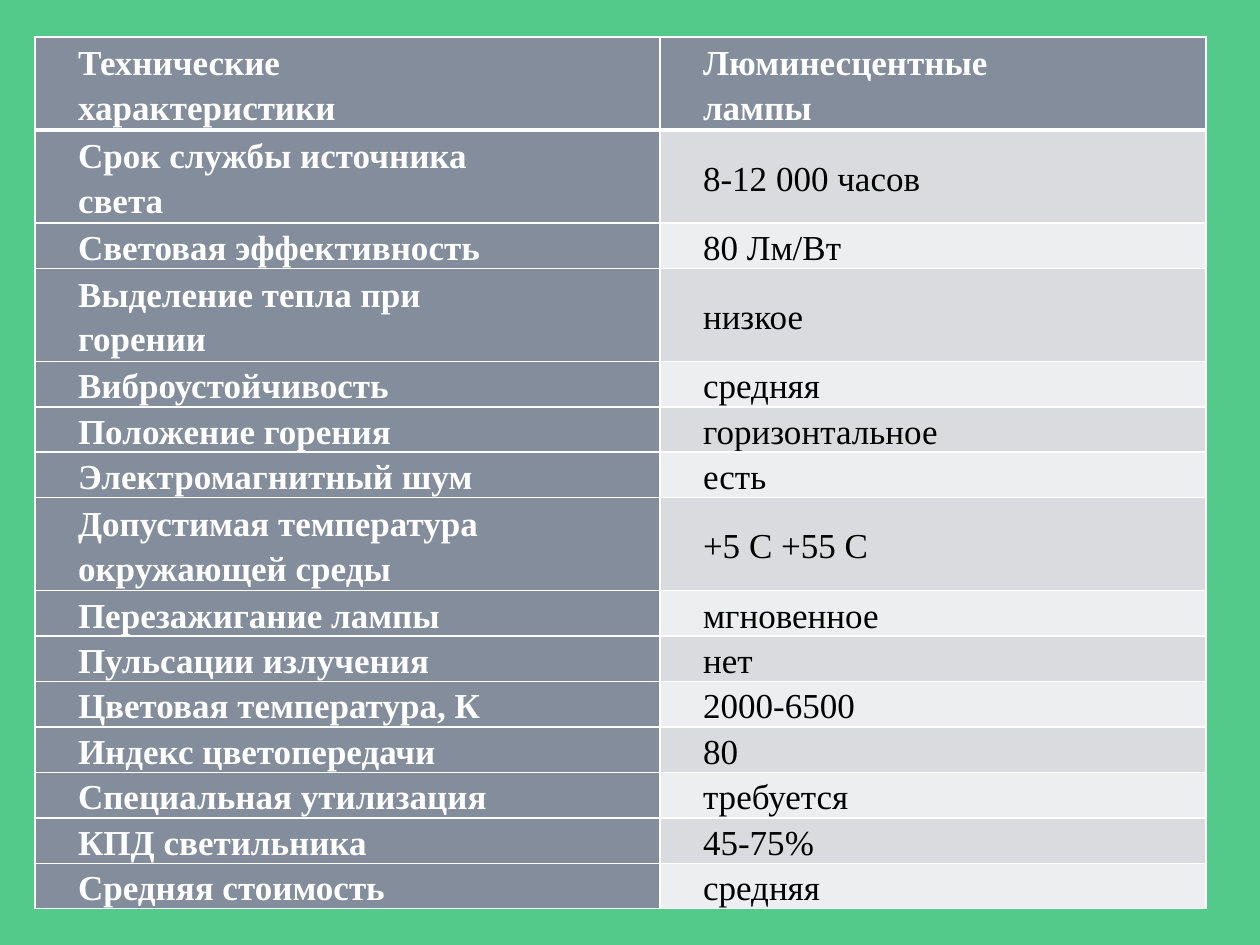
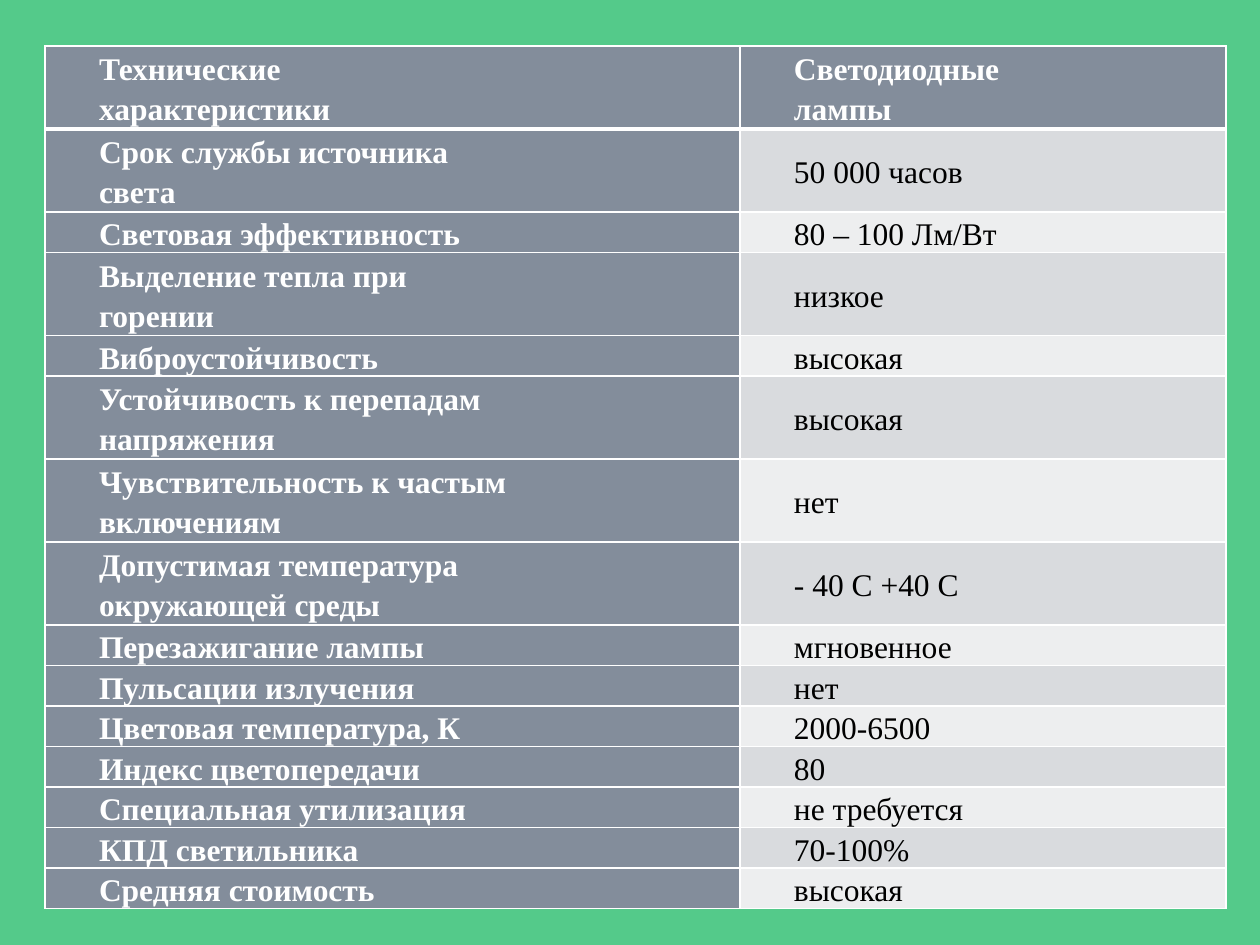
from lxml import etree
from pptx import Presentation
from pptx.dml.color import RGBColor
from pptx.enum.text import MSO_ANCHOR, PP_ALIGN
from pptx.oxml.ns import qn
from pptx.util import Pt

MIDDLE = MSO_ANCHOR.MIDDLE
JUSTIFY = PP_ALIGN.JUSTIFY

# Content: a line break inside a text starts a new paragraph
FIRST_LABELS = [
    "Технические\nхарактеристики",
    "Срок службы источника\nсвета",
    "Световая эффективность",
    "Выделение тепла при\nгорении",
    "Виброустойчивость",
]
LAST_LABELS = [
    "Допустимая температура\nокружающей среды",
    "Перезажигание лампы",
    "Пульсации излучения",
    "Цветовая температура, К",
    "Индекс цветопередачи",
    "Специальная утилизация",
    "КПД светильника",
    "Средняя стоимость",
]
LAMPS = [
    {
        "own_labels": ["Положение горения", "Электромагнитный шум"],
        "values": ["Люминесцентные\nлампы", "8-12 000 часов", "80 Лм/Вт", "низкое",
                   "средняя", "горизонтальное", "есть", "+5 C +55 C", "мгновенное",
                   "нет", "2000-6500", "80", "требуется", "45-75%", "средняя"],
        "left": 35, "top": 37, "height": 872, "columns": (625, 546),
        "tall_row": 93, "indent": 43, "size": 20,
    },
    {
        "own_labels": ["Устойчивость к перепадам\nнапряжения",
                       "Чувствительность к частым\nвключениям"],
        "values": ["Светодиодные\nлампы", "50 000 часов", "80 – 100 Лм/Вт", "низкое",
                   "высокая", "высокая", "нет", "- 40 C +40 C", "мгновенное",
                   "нет", "2000-6500", "80", "не требуется", "70-100%", "высокая"],
        "left": 45, "top": 46, "height": 863, "columns": (695, 486),
        "tall_row": 83, "indent": 54, "size": 18,
    },
]

# Shared style
COLOURS = {
    "background": "54CA8A",
    "label": "838D9B",
    "odd_row": "D9DBDE",
    "even_row": "EDEEEF",
    "light": "FFFFFF",
    "dark": "000000",
}
FONT = "Times New Roman"
LINE_SPACING = 1.15
THIN, THICK = 1, 3
SLIDE_WIDTH, SLIDE_HEIGHT = 1260, 945
EMU_PER_PX = 914400 / 126


def emu(px):
    return round(px * EMU_PER_PX)


def colour(name):
    return RGBColor.from_string(COLOURS[name])


def write_text(cell, text, *, size, indent, text_colour, bold):
    frame = cell.text_frame
    frame.word_wrap = True
    for index, line in enumerate(text.split("\n")):
        para = frame.add_paragraph() if index else frame.paragraphs[0]
        para.alignment = JUSTIFY
        para.line_spacing = LINE_SPACING
        properties = para._p.get_or_add_pPr()
        properties.set("marL", "0")
        properties.set("indent", str(emu(indent)))
        span = para.add_run()
        span.text = line
        span.font.name = FONT
        span.font.size = Pt(size)
        span.font.bold = bold
        span.font.color.rgb = colour(text_colour)


def draw_borders(cell, top, bottom):
    properties = cell._tc.get_or_add_tcPr()
    sides = [("a:lnL", THIN), ("a:lnR", THIN), ("a:lnT", top), ("a:lnB", bottom)]
    for position, (tag, width) in enumerate(sides):
        line = etree.Element(qn(tag), w=str(Pt(width)))
        fill = etree.SubElement(line, qn("a:solidFill"))
        etree.SubElement(fill, qn("a:srgbClr"), val=COLOURS["light"])
        properties.insert(position, line)


def style_cell(cell, fill, row):
    cell.margin_left = cell.margin_right = cell.margin_top = cell.margin_bottom = 0
    cell.vertical_anchor = MIDDLE
    cell.fill.solid()
    cell.fill.fore_color.rgb = colour(fill)
    draw_borders(cell, top=THICK if row == 1 else THIN,
                 bottom=THICK if row == 0 else THIN)


def row_heights(labels, lamp):
    # Two-line rows have a set height; one-line rows share what is left
    tall_count = sum("\n" in label for label in labels)
    short_row = (lamp["height"] - tall_count * lamp["tall_row"]) / (len(labels) - tall_count)
    return [lamp["tall_row"] if "\n" in label else short_row for label in labels]


def add_lamp_slide(deck, lamp):
    page = deck.slides.add_slide(deck.slide_layouts[6])
    page.background.fill.solid()
    page.background.fill.fore_color.rgb = colour("background")

    # Table grid
    labels = FIRST_LABELS + lamp["own_labels"] + LAST_LABELS
    table = page.shapes.add_table(
        len(labels), 2, emu(lamp["left"]), emu(lamp["top"]),
        emu(sum(lamp["columns"])), emu(lamp["height"])).table
    table.first_row = table.horz_banding = False
    for column, width in zip(table.columns, lamp["columns"]):
        column.width = emu(width)
    for table_row, height in zip(table.rows, row_heights(labels, lamp)):
        table_row.height = emu(height)

    # Cells: header row and label column are dark, values are banded
    for row, texts in enumerate(zip(labels, lamp["values"])):
        for column, text in enumerate(texts):
            is_label = row == 0 or column == 0
            band = "odd_row" if row % 2 else "even_row"
            cell = table.cell(row, column)
            style_cell(cell, "label" if is_label else band, row)
            write_text(cell, text, size=lamp["size"], indent=lamp["indent"],
                       text_colour="light" if is_label else "dark", bold=is_label)


def main():
    deck = Presentation()
    deck.slide_width = emu(SLIDE_WIDTH)
    deck.slide_height = emu(SLIDE_HEIGHT)
    for lamp in LAMPS:
        add_lamp_slide(deck, lamp)
    deck.save("out.pptx")


if __name__ == "__main__":
    main()
